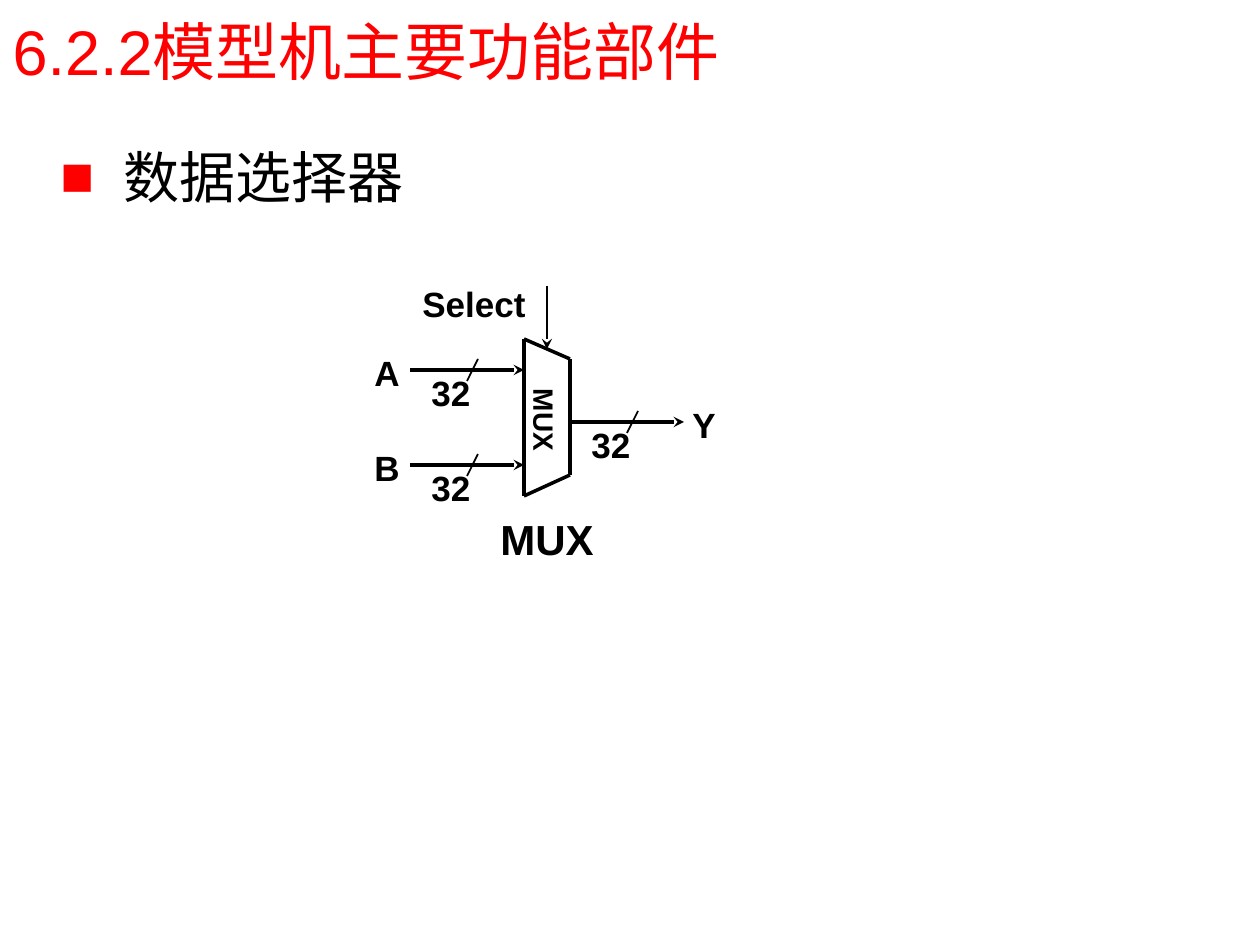
from lxml.etree import SubElement
from pptx import Presentation
from pptx.dml.color import RGBColor
from pptx.enum.shapes import MSO_CONNECTOR
from pptx.enum.text import MSO_ANCHOR, MSO_AUTO_SIZE, PP_ALIGN
from pptx.oxml.ns import qn
from pptx.util import Emu, Pt

PX = 914400 / 126
RED = "FF0000"
BLACK = "000000"


def px(*lengths):
    """Turn pixel lengths into EMU."""
    return [Emu(round(length * PX)) for length in lengths]


def color(hex_string):
    """Turn a hex string into a colour."""
    return RGBColor.from_string(hex_string)


def add_run(paragraph, text, size, hex_string=BLACK, bold=False):
    """Add one formatted run to a paragraph."""
    run = paragraph.add_run()
    run.text = text
    run.font.name = "Arial"
    run.font.size = Pt(size)
    run.font.bold = bold
    run.font.color.rgb = color(hex_string)


def set_title(slide, text):
    """Place and fill the title placeholder."""
    title = slide.shapes.title
    title.left, title.top, title.width, title.height = px(0, 0, 1076, 101)
    frame = title.text_frame
    frame.vertical_anchor = MSO_ANCHOR.MIDDLE
    frame.auto_size = MSO_AUTO_SIZE.NONE
    paragraph = frame.paragraphs[0]
    paragraph.alignment = PP_ALIGN.LEFT
    add_run(paragraph, text, 36, RED)


def add_text_box(slide, box):
    """Add an unwrapped box that fits its text."""
    shape = slide.shapes.add_textbox(*px(*box))
    shape.text_frame.word_wrap = False
    shape.text_frame.auto_size = MSO_AUTO_SIZE.SHAPE_TO_FIT_TEXT
    return shape


def add_label(slide, text, box, size=20, rotation=0):
    """Add a bold diagram label."""
    shape = add_text_box(slide, box)
    shape.rotation = rotation
    add_run(shape.text_frame.paragraphs[0], text, size, bold=True)


def add_bullet(slide, text, box):
    """Add a bulleted heading with a red square."""
    paragraph = add_text_box(slide, box).text_frame.paragraphs[0]
    properties = paragraph._p.get_or_add_pPr()
    indent = px(63)[0]
    properties.set("marL", str(indent))
    properties.set("indent", str(-indent))
    bullet_color = SubElement(properties, qn("a:buClr"))
    SubElement(bullet_color, qn("a:srgbClr"), val=RED)
    SubElement(properties, qn("a:buFont"), typeface="Arial")
    SubElement(properties, qn("a:buChar"), char="■")
    add_run(paragraph, text, 32)


def add_line(slide, start, end, width=2, arrow=False):
    """Add a black line, with an arrowhead at its end if asked."""
    line = slide.shapes.add_connector(MSO_CONNECTOR.STRAIGHT, *px(*start, *end))
    line.line.width = Pt(width)
    line.line.color.rgb = color(BLACK)
    if arrow:
        SubElement(line.line._get_or_add_ln(), qn("a:tailEnd"), type="stealth")
    SubElement(line._element.spPr, qn("a:effectLst"))


def add_bus(slide, name, name_left, start, y):
    """Add a 32-bit bus with its slash, width and name."""
    add_line(slide, (start, y), (start + 114, y), arrow=True)
    add_line(slide, (start + 68, y - 11), (start + 57, y + 11), width=1)
    add_label(slide, "32", (start + 9, y - 5, 69, 54))
    add_label(slide, name, (name_left, y - 25, 55, 54))


def add_multiplexer(slide):
    """Add the multiplexer outline and its inner label."""
    corners = [(524, 339), (570, 359), (570, 475), (524, 496)]
    for start, end in zip(corners, corners[1:] + corners[:1]):
        add_line(slide, start, end)
    add_label(slide, "MUX", (499, 395, 87, 50), size=16, rotation=90)


def main():
    """Build and save the slide."""
    presentation = Presentation()
    presentation.slide_width, presentation.slide_height = px(1260, 945)
    slide = presentation.slides.add_slide(presentation.slide_layouts[5])
    set_title(slide, "6.2.2模型机主要功能部件")
    add_bullet(slide, "数据选择器", (48, 136, 372, 81))
    add_multiplexer(slide)
    for name, name_left, start, y in (
        ("A", 362, 410, 370),
        ("B", 362, 410, 465),
        ("Y", 680, 570, 422),
    ):
        add_bus(slide, name, name_left, start, y)
    add_line(slide, (547, 286), (547, 349), width=1, arrow=True)
    add_label(slide, "Select", (410, 276, 129, 54))
    add_label(slide, "MUX", (488, 507, 129, 63), size=24)
    presentation.save("out.pptx")


if __name__ == "__main__":
    main()
